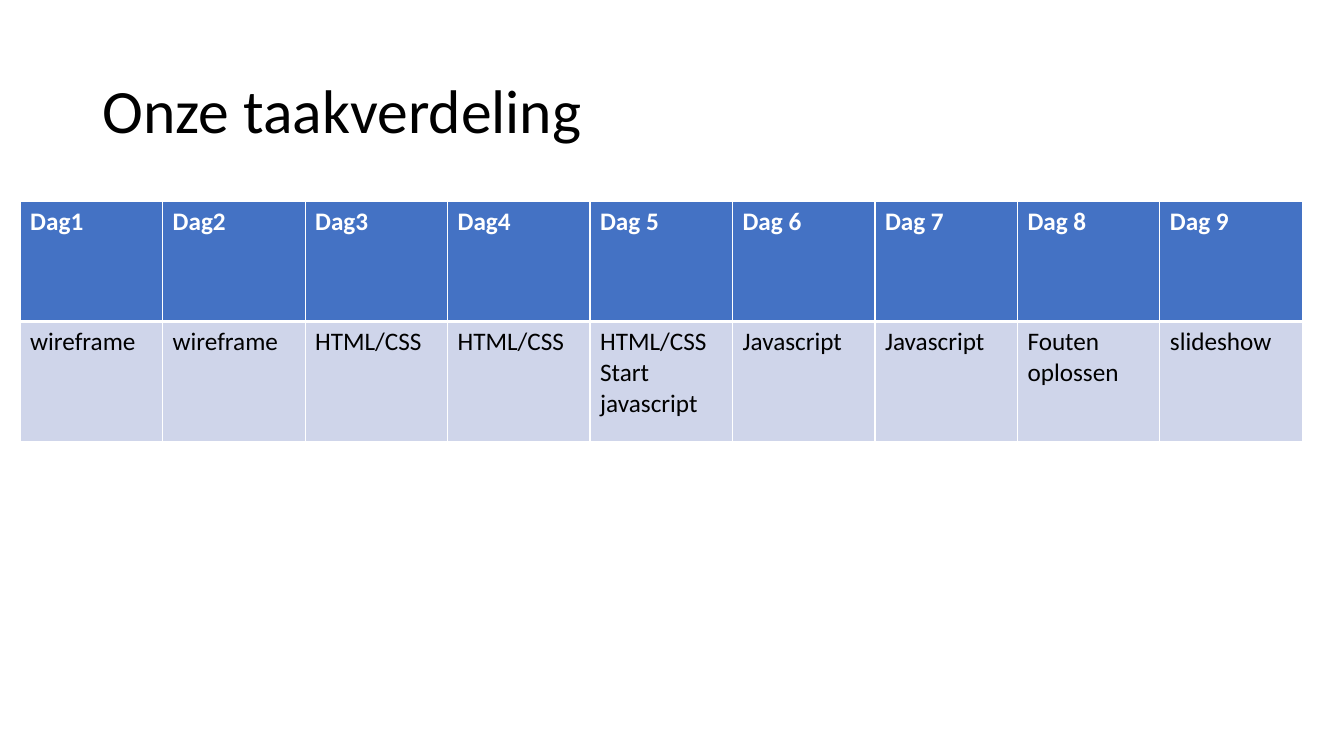
from dataclasses import dataclass

from lxml.etree import SubElement
from pptx import Presentation
from pptx.dml.color import RGBColor
from pptx.enum.text import MSO_ANCHOR
from pptx.oxml.ns import qn
from pptx.util import Inches, Pt


@dataclass(frozen=True)
class Theme:
    font: str = "Calibri"
    title_size: int = 44
    table_size: int = 18
    black: str = "000000"
    white: str = "FFFFFF"
    header_fill: str = "4472C4"
    task_fill: str = "CFD5EA"


theme = Theme()


def format_text(text_frame, size, color, bold=False):
    for paragraph in text_frame.paragraphs:
        for run in paragraph.runs:
            run.font.name = theme.font
            run.font.size = Pt(size)
            run.font.bold = bold
            run.font.color.rgb = RGBColor.from_string(color)


def add_border(cell, side, width):
    line = SubElement(cell._tc.get_or_add_tcPr(), qn(f"a:{side}"), w=str(Pt(width)))
    fill = SubElement(line, qn("a:solidFill"))
    SubElement(fill, qn("a:srgbClr"), val=theme.white)


presentation = Presentation()
presentation.slide_width = Inches(13.33)
presentation.slide_height = Inches(7.5)
slide = presentation.slides.add_slide(presentation.slide_layouts[6])

# Title
title = slide.shapes.add_textbox(Inches(0.92), Inches(0.4), Inches(11.5), Inches(1.45))
title.text_frame.word_wrap = True
title.text_frame.vertical_anchor = MSO_ANCHOR.MIDDLE
title.text_frame.text = "Onze taakverdeling"
title.text_frame.paragraphs[0].line_spacing = 0.9
format_text(title.text_frame, theme.title_size, theme.black)

# Task per day
days = ["Dag1", "Dag2", "Dag3", "Dag4", "Dag 5", "Dag 6", "Dag 7", "Dag 8", "Dag 9"]
tasks = [
    "wireframe", "wireframe", "HTML/CSS", "HTML/CSS", "HTML/CSS\nStart javascript",
    "Javascript", "Javascript", "Fouten oplossen", "slideshow",
]
# Texts, fill, text colour, bold, top border, bottom border
rows = [
    (days, theme.header_fill, theme.white, True, 1, 3),
    (tasks, theme.task_fill, theme.black, False, 3, 1),
]

# Schedule table
table = slide.shapes.add_table(
    len(rows), len(days), Inches(0.2), Inches(2), Inches(12.72), Inches(2.38)
).table
for row_index, (texts, fill, color, bold, top, bottom) in enumerate(rows):
    for column_index, text in enumerate(texts):
        cell = table.cell(row_index, column_index)
        cell.text_frame.text = text
        format_text(cell.text_frame, theme.table_size, color, bold)
        for side, width in (("lnL", 1), ("lnR", 1), ("lnT", top), ("lnB", bottom)):
            add_border(cell, side, width)
        cell.fill.solid()
        cell.fill.fore_color.rgb = RGBColor.from_string(fill)

presentation.save("out.pptx")
